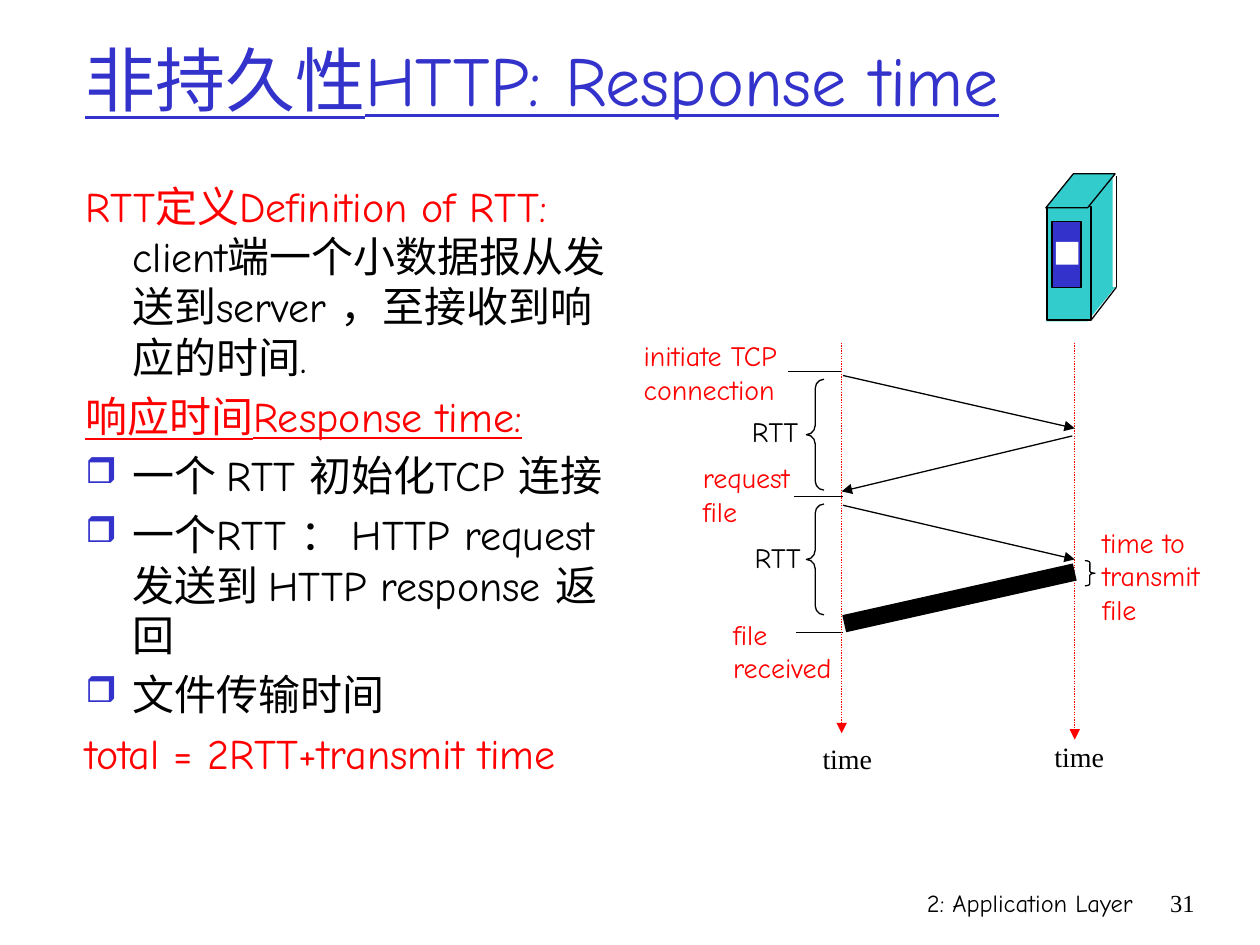
import pptx
import pptx.util
import pptx.dml.color
import pptx.enum.dml
import pptx.enum.shapes
import pptx.enum.text
import pptx.oxml

RGBColor = pptx.dml.color.RGBColor
Shape = pptx.enum.shapes.MSO_SHAPE
Align = pptx.enum.text.PP_ALIGN
Anchor = pptx.enum.text.MSO_ANCHOR
BLACK = RGBColor(0x00, 0x00, 0x00)
WHITE = RGBColor(0xFF, 0xFF, 0xFF)
RED = RGBColor(0xFF, 0x00, 0x00)
BLUE = RGBColor(0x33, 0x33, 0xCC)
TEAL = RGBColor(0x33, 0xCC, 0xCC)
COMIC, TIMES = "Comic Neue", "Times New Roman"
DRAWING = 'xmlns:a="http://schemas.openxmlformats.org/drawingml/2006/main"'

TITLE = "非持久性HTTP: Response time"
BODY = [
    (False, [("RTT定义Definition of RTT:", RED, False),
             (" client端一个小数据报从发送到server ，至接收到响应的时间.", BLACK, False)]),
    (False, [("响应时间Response time:", RED, True)]),
    (True, [("一个 RTT 初始化TCP 连接", BLACK, False)]),
    (True, [("一个RTT ： HTTP request 发送到 HTTP response 返回", BLACK, False)]),
    (True, [("文件传输时间", BLACK, False)]),
    (False, [("total = 2RTT+transmit time", RED, False)]),
]
FOOTERS = [
    ("2: Application Layer", (5.92, 7, 3.17, 0.5), COMIC),
    ("31", (9.08, 7, 0.5, 0.5), TIMES),
]
LABELS = [
    (["time to", "transmit", "file"], (8.65, 4.12, 1.16, 0.9), COMIC, RED),
    (["initiate TCP", "connection"], (5.01, 2.64, 1.42, 0.64), COMIC, RED),
    (["RTT"], (5.87, 3.24, 0.64, 0.37), COMIC, BLACK),
    (["request", "file"], (5.48, 3.61, 1, 0.64), COMIC, RED),
    (["RTT"], (5.89, 4.24, 0.64, 0.37), COMIC, BLACK),
    (["file", "received"], (5.72, 4.85, 1.09, 0.64), COMIC, RED),
    (["time"], (6.43, 5.84, 0.6, 0.37), TIMES, BLACK),
    (["time"], (8.27, 5.82, 0.6, 0.37), TIMES, BLACK),
]
SERVER_PARTS = [
    (Shape.PARALLELOGRAM, (8.3, 2.28, 0.55, 0.27), TEAL, None, [0.81]),
    (Shape.RECTANGLE, (8.58, 1.39, 0.25, 0.9), TEAL, None, []),
    (Shape.RECTANGLE, (8.31, 1.64, 0.35, 0.9), TEAL, BLACK, []),
    (Shape.PARALLELOGRAM, (8.3, 1.38, 0.55, 0.27), TEAL, BLACK, [0.81]),
    (Shape.RECTANGLE, (8.35, 1.76, 0.23, 0.52), BLUE, BLACK, []),
    (Shape.RECTANGLE, (8.38, 1.92, 0.18, 0.18), WHITE, None, []),
]
BRACES = [
    (Shape.RIGHT_BRACE, (8.61, 4.45, 0.08, 0.2), None, BLACK, [0.2, 0.5]),
    (Shape.LEFT_BRACE, (6.4, 3.01, 0.14, 0.88), None, BLACK, [0.52, 0.5]),
    (Shape.LEFT_BRACE, (6.4, 4, 0.14, 0.88), None, BLACK, [0.52, 0.5]),
]
SERVER_EDGES = [(8.86, 1.4, 8.86, 2.28), (8.86, 2.28, 8.66, 2.54)]
TIME_AXES = [(6.68, 2.72, 6.68, 5.82), (8.53, 2.72, 8.53, 5.87)]
MESSAGES = [(6.69, 2.98, 8.53, 3.4), (8.51, 3.46, 6.68, 3.9), (6.69, 4.01, 8.53, 4.44)]
FILE_TRANSFER = (8.53, 4.54, 6.7, 4.95)
TICKS = [(6.25, 2.95, 6.68, 2.95), (6.3, 3.94, 6.69, 3.94), (6.32, 5.02, 6.69, 5.02)]


def lengths(inches):
    return [pptx.util.Cm(value * 2.54) for value in inches]


def set_values(target, values):
    for name, value in values.items():
        setattr(target, name, value)


def add_element(parent, xml):
    parent.append(pptx.oxml.parse_xml(xml))


def add_run(paragraph, text, color, **values):
    run = paragraph.add_run()
    run.text = text
    set_values(run.font, values)
    run.font.color.rgb = color


def add_box(slide, place, **frame_values):
    frame = slide.shapes.add_textbox(*lengths(place)).text_frame
    set_values(frame, {"word_wrap": True, **frame_values})
    return frame


def add_paragraph(frame, index):
    return frame.add_paragraph() if index else frame.paragraphs[0]


def add_part(slide, kind, place, fill, line, adjustments):
    shape = slide.shapes.add_shape(kind, *lengths(place))
    shape.shadow.inherit = False
    for index, value in enumerate(adjustments):
        shape.adjustments[index] = value
    if fill is None:
        shape.fill.background()
    else:
        shape.fill.solid()
        shape.fill.fore_color.rgb = fill
    if line is None:
        shape.line.fill.background()
    else:
        shape.line.color.rgb = line
        shape.line.width = pptx.util.Pt(0.75)


def add_line(slide, ends, color=BLACK, width=0.75, dotted=False, arrow=False):
    connector = slide.shapes.add_connector(
        pptx.enum.shapes.MSO_CONNECTOR.STRAIGHT, *lengths(ends))
    connector.line.color.rgb = color
    connector.line.width = pptx.util.Pt(width)
    if dotted:
        connector.line.dash_style = pptx.enum.dml.MSO_LINE.ROUND_DOT
    if arrow:
        add_element(connector.line._get_or_add_ln(), f'<a:tailEnd {DRAWING} type="triangle"/>')
    add_element(connector._element.spPr, f"<a:effectLst {DRAWING}/>")


def add_body(slide):
    frame = add_box(slide, (0.58, 1.38, 4.49, 5.08))
    indent = pptx.util.Cm(0.95)
    for index, (bulleted, runs) in enumerate(BODY):
        paragraph = add_paragraph(frame, index)
        if index:
            paragraph.space_before = pptx.util.Pt(5)
        properties = paragraph._p.get_or_add_pPr()
        properties.set("marL", str(indent))
        properties.set("indent", str(-indent))
        if bulleted:
            add_element(properties, f'<a:buClr {DRAWING}><a:srgbClr val="{BLUE}"/></a:buClr>')
            add_element(properties, f'<a:buSzPct {DRAWING} val="85000"/>')
            add_element(properties, f'<a:buChar {DRAWING} char="❒"/>')
        else:
            add_element(properties, f"<a:buNone {DRAWING}/>")
        for text, color, underline in runs:
            add_run(paragraph, text, color, name=COMIC, size=pptx.util.Pt(24),
                    underline=underline)


def main():
    presentation = pptx.Presentation()
    presentation.slide_width, presentation.slide_height = lengths((10, 7.5))
    slide = presentation.slides.add_slide(presentation.slide_layouts[6])

    for text, place, font in FOOTERS:
        paragraph = add_box(slide, place).paragraphs[0]
        paragraph.alignment = Align.RIGHT
        add_run(paragraph, text, BLACK, name=font, size=pptx.util.Pt(14))

    title = add_box(slide, (0.58, 0, 8.99, 1.25), vertical_anchor=Anchor.MIDDLE)
    add_run(title.paragraphs[0], TITLE, BLUE, name=COMIC, size=pptx.util.Pt(40), underline=True)
    add_body(slide)

    for part in SERVER_PARTS + BRACES:
        add_part(slide, *part)
    for ends in SERVER_EDGES + TICKS:
        add_line(slide, ends)
    for ends in TIME_AXES:
        add_line(slide, ends, color=RED, dotted=True, arrow=True)
    for ends in MESSAGES:
        add_line(slide, ends, arrow=True)
    add_line(slide, FILE_TRANSFER, width=10)

    for lines, place, font, color in LABELS:
        frame = add_box(slide, place, word_wrap=False,
                        auto_size=pptx.enum.text.MSO_AUTO_SIZE.SHAPE_TO_FIT_TEXT)
        for index, line in enumerate(lines):
            add_run(add_paragraph(frame, index), line, color, name=font, size=pptx.util.Pt(16))

    presentation.save("out.pptx")


if __name__ == "__main__":
    main()
